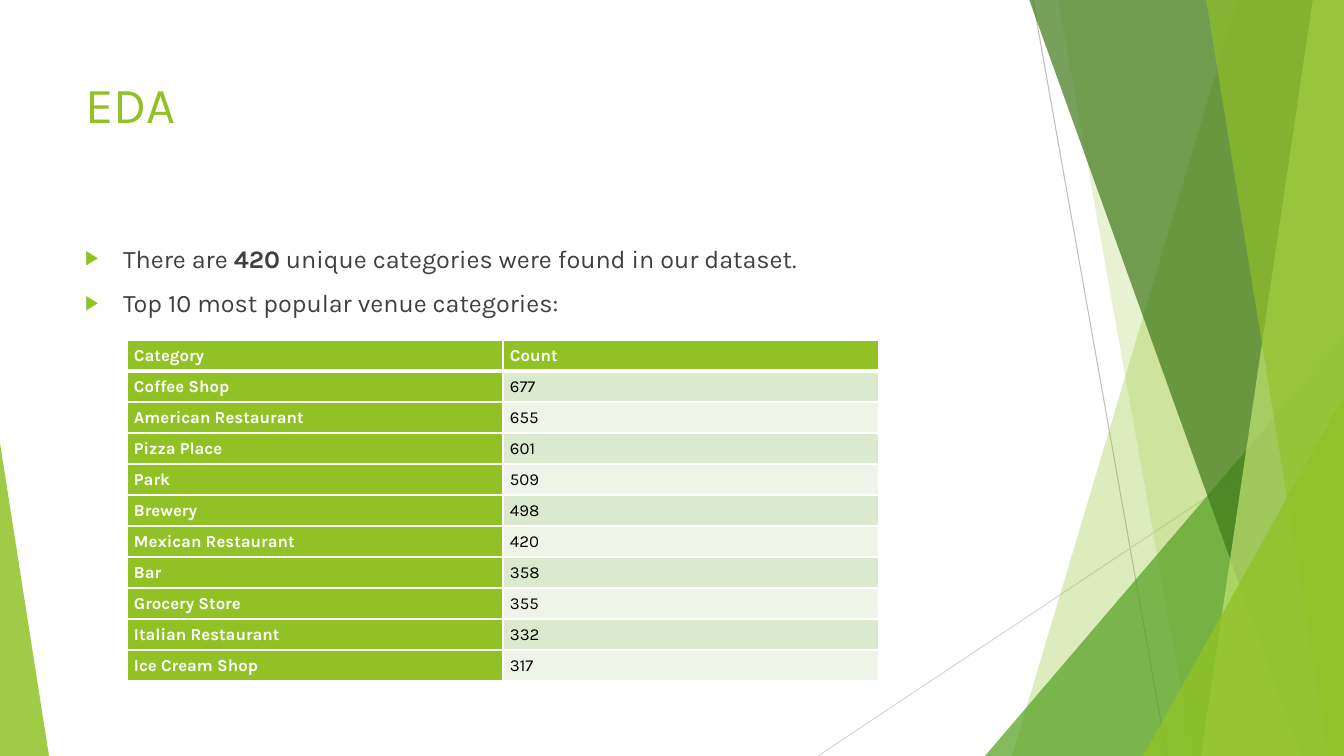
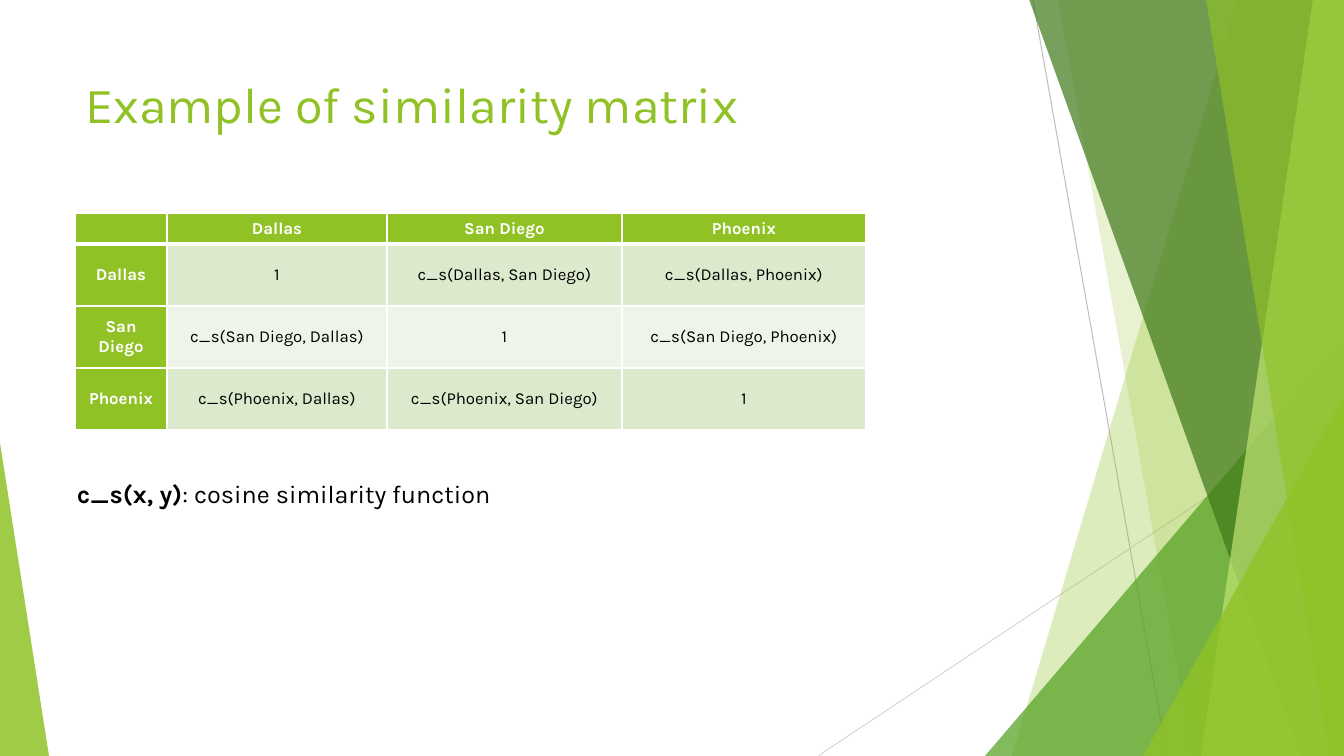
"""Build two venue analysis slides on a shared green faceted master."""
from dataclasses import dataclass

from lxml.etree import SubElement
from pptx import Presentation
from pptx.dml.color import RGBColor
from pptx.enum.shapes import MSO_CONNECTOR, MSO_SHAPE
from pptx.enum.text import MSO_ANCHOR, MSO_AUTO_SIZE, PP_ALIGN
from pptx.oxml.ns import qn
from pptx.util import Emu, Pt

SLIDE_WIDTH, SLIDE_HEIGHT = 1344, 756
EMU_PER_PX = 914400 / 100.8
FONT = "Karla"
LIME = RGBColor(0x90, 0xC2, 0x26)
GREEN = RGBColor(0x54, 0xA0, 0x21)
FOREST = RGBColor(0x3F, 0x78, 0x19)
PALE_LIME = RGBColor(0xC0, 0xE4, 0x74)
BAND_DARK = RGBColor(0xDB, 0xE9, 0xCD)
BAND_LIGHT = RGBColor(0xEE, 0xF4, 0xE8)
WHITE = RGBColor(0xFF, 0xFF, 0xFF)
BLACK = RGBColor(0, 0, 0)
TEXT_GREY = RGBColor(0x40, 0x40, 0x40)
LINE_GREY = RGBColor(0xBF, 0xBF, 0xBF)
LINE_PALE = RGBColor(0xD9, 0xD9, 0xD9)


@dataclass(frozen=True)
class Box:
    left: int
    top: int
    width: int
    height: int


@dataclass(frozen=True)
class Ray:
    start: tuple[int, int]
    end: tuple[int, int]
    color: RGBColor


@dataclass(frozen=True)
class Facet:
    top_x: int
    bottom_x: int
    color: RGBColor
    opacity: int


@dataclass(frozen=True)
class Wedge:
    box: Box
    apex: int
    color: RGBColor
    opacity: int


@dataclass(frozen=True)
class Span:
    text: str
    bold: bool = False


@dataclass(frozen=True)
class Grid:
    left: int
    top: int
    columns: list[int]
    heights: list[int]
    rows: list[tuple[str, ...]]
    alignment: PP_ALIGN


BACKDROP = [
    Ray((1033, 0), (1167, 756), LINE_GREY),
    Ray((1344, 406), (818, 756), LINE_PALE),
    Facet(1238, 1012, LIME, 30),
    Facet(1058, 1193, LIME, 20),
    Wedge(Box(985, 336, 359, 420), 1, GREEN, 72),
    Facet(1029, 1301, FOREST, 70),
    Facet(1313, 1201, PALE_LIME, 70),
    Facet(1206, 1329, LIME, 65),
    Wedge(Box(1143, 396, 201, 360), 1, LIME, 80),
    Wedge(Box(0, 443, 49, 313), 0, LIME, 85),
]
TITLE_BOX = Box(75, 68, 948, 145)
BODY_BOX = Box(75, 238, 948, 427)
NOTE_BOX = Box(67, 473, 435, 40)
FINDINGS = [
    [Span("There are "), Span("420", True),
     Span(" unique categories were found in our dataset.")],
    [Span("Top 10 most popular venue categories:")],
]
NOTE = [Span("c_s(x, y)", True), Span(": cosine similarity function")]
CATEGORIES = [
    ("Category", "Count"),
    ("Coffee Shop", "677"),
    ("American Restaurant", "655"),
    ("Pizza Place", "601"),
    ("Park", "509"),
    ("Brewery", "498"),
    ("Mexican Restaurant", "420"),
    ("Bar", "358"),
    ("Grocery Store", "355"),
    ("Italian Restaurant", "332"),
    ("Ice Cream Shop", "317"),
]
CITIES = ("Dallas", "San Diego", "Phoenix")
SIMILARITY = [("", *CITIES)] + [
    (city, *("1" if city == other else f"c_s({city}, {other})" for other in CITIES))
    for city in CITIES
]
CATEGORY_GRID = Grid(127, 340, [376, 376], [31] * 11, CATEGORIES, PP_ALIGN.LEFT)
SIMILARITY_GRID = Grid(75, 213, [92, 220, 235, 244], [31, 62, 62, 62],
                       SIMILARITY, PP_ALIGN.CENTER)


def px(length: int) -> Emu:
    """Turn px into EMU."""
    return Emu(round(length * EMU_PER_PX))


def place(box: Box) -> tuple[Emu, Emu, Emu, Emu]:
    """Give a box as left, top, width and height in EMU."""
    return px(box.left), px(box.top), px(box.width), px(box.height)


def move(shape, box: Box) -> None:
    """Put a placeholder where the box is."""
    shape.left, shape.top, shape.width, shape.height = place(box)


def style_run(run, size: int, color: RGBColor, bold: bool = False) -> None:
    """Set the font of a run."""
    run.font.name = FONT
    run.font.size = Pt(size)
    run.font.bold = bold
    run.font.color.rgb = color


def write_spans(paragraph, spans: list[Span], color: RGBColor) -> None:
    """Fill a paragraph with plain and bold runs."""
    for span in spans:
        run = paragraph.add_run()
        run.text = span.text
        style_run(run, 18, color, span.bold)


def draw_ray(slide, ray: Ray):
    """Draw a thin straight line."""
    line = slide.shapes.add_connector(
        MSO_CONNECTOR.STRAIGHT, *map(px, ray.start), *map(px, ray.end))
    line.line.color.rgb = ray.color
    line.line.width = Pt(0.75)
    SubElement(line.element.spPr, qn("a:effectLst"))
    return line


def draw_pane(slide, pane: Facet | Wedge):
    """Draw a translucent facet or wedge."""
    if isinstance(pane, Wedge):
        shape = slide.shapes.add_shape(MSO_SHAPE.ISOSCELES_TRIANGLE, *place(pane.box))
        shape.adjustments[0] = pane.apex
    else:
        builder = slide.shapes.build_freeform(pane.top_x, -1, scale=EMU_PER_PX)
        builder.add_line_segments([(SLIDE_WIDTH, -1), (SLIDE_WIDTH, SLIDE_HEIGHT),
                                   (pane.bottom_x, SLIDE_HEIGHT)])
        shape = builder.convert_to_shape()
    shape.shadow.inherit = False
    shape.line.fill.background()
    shape.fill.solid()
    shape.fill.fore_color.rgb = pane.color
    color = shape.element.spPr.find(qn("a:solidFill")).find(qn("a:srgbClr"))
    SubElement(color, qn("a:alpha"), val=str(pane.opacity * 1000))
    return shape


def draw_backdrop(slide, master) -> None:
    """Draw the backdrop and hand it to the master, behind its placeholders."""
    for index, item in enumerate(BACKDROP):
        shape = draw_ray(slide, item) if isinstance(item, Ray) else draw_pane(slide, item)
        shape.element.xpath(".//p:cNvPr")[0].set("id", str(100 + index))
        master.shapes.element.insert(2 + index, shape.element)


def write_title(slide, text: str) -> None:
    """Fill the title placeholder."""
    title = slide.shapes.title
    move(title, TITLE_BOX)
    frame = title.text_frame
    frame.text = text
    frame.vertical_anchor = MSO_ANCHOR.TOP
    frame.auto_size = MSO_AUTO_SIZE.NONE
    frame.paragraphs[0].alignment = PP_ALIGN.LEFT
    style_run(frame.paragraphs[0].runs[0], 36, LIME)


def set_bullet(paragraph) -> None:
    """Give a paragraph a hanging lime arrow bullet."""
    properties = paragraph._p.get_or_add_pPr()
    properties.set("marL", str(px(38)))
    properties.set("indent", str(px(-38)))
    color = SubElement(properties, qn("a:buClr"))
    SubElement(color, qn("a:srgbClr"), val=str(LIME))
    SubElement(properties, qn("a:buSzPct"), val="80000")
    SubElement(properties, qn("a:buFont"), typeface=FONT)
    SubElement(properties, qn("a:buChar"), char="▶")


def write_list(slide, items: list[list[Span]]) -> None:
    """Fill the body placeholder with bullets."""
    body = slide.placeholders[1]
    move(body, BODY_BOX)
    frame = body.text_frame
    frame.auto_size = MSO_AUTO_SIZE.NONE
    for index, spans in enumerate(items):
        paragraph = frame.add_paragraph() if index else frame.paragraphs[0]
        paragraph.space_before = Pt(10)
        set_bullet(paragraph)
        write_spans(paragraph, spans, TEXT_GREY)


def set_borders(cell, row: int) -> None:
    """Rule a cell in white, with a thick line below the header."""
    widths = {"L": 1, "R": 1, "T": 3 if row == 1 else 1, "B": 3 if row == 0 else 1}
    properties = cell._tc.get_or_add_tcPr()
    for side, width in widths.items():
        line = SubElement(properties, qn(f"a:ln{side}"), w=str(Pt(width)))
        fill = SubElement(line, qn("a:solidFill"))
        SubElement(fill, qn("a:srgbClr"), val=str(WHITE))


def draw_grid(slide, grid: Grid) -> None:
    """Draw a banded table with a header row and column."""
    box = Box(grid.left, grid.top, sum(grid.columns), sum(grid.heights))
    table = slide.shapes.add_table(
        len(grid.heights), len(grid.columns), *place(box)).table
    for column, width in zip(table.columns, grid.columns):
        column.width = px(width)
    for row_index, (height, texts) in enumerate(zip(grid.heights, grid.rows)):
        table.rows[row_index].height = px(height)
        for column_index, text in enumerate(texts):
            header = row_index == 0 or column_index == 0
            cell = table.cell(row_index, column_index)
            set_borders(cell, row_index)
            cell.fill.solid()
            band = BAND_DARK if row_index % 2 else BAND_LIGHT
            cell.fill.fore_color.rgb = LIME if header else band
            cell.vertical_anchor = MSO_ANCHOR.MIDDLE
            cell.margin_left = cell.margin_right = px(7)
            cell.margin_top = cell.margin_bottom = 0
            paragraph = cell.text_frame.paragraphs[0]
            paragraph.text = text
            paragraph.alignment = grid.alignment
            for run in paragraph.runs or [paragraph.add_run()]:
                style_run(run, 12, WHITE if header else BLACK, header)


def write_note(slide, spans: list[Span]) -> None:
    """Add the line that explains the function."""
    frame = slide.shapes.add_textbox(*place(NOTE_BOX)).text_frame
    frame.word_wrap = False
    frame.auto_size = MSO_AUTO_SIZE.SHAPE_TO_FIT_TEXT
    write_spans(frame.paragraphs[0], spans, BLACK)


def main() -> None:
    """Build and save the presentation."""
    presentation = Presentation()
    presentation.slide_width = px(SLIDE_WIDTH)
    presentation.slide_height = px(SLIDE_HEIGHT)
    layouts = presentation.slide_layouts

    exploration = presentation.slides.add_slide(layouts.get_by_name("Title and Content"))
    draw_backdrop(exploration, presentation.slide_master)
    write_title(exploration, "EDA")
    write_list(exploration, FINDINGS)
    draw_grid(exploration, CATEGORY_GRID)

    similarity = presentation.slides.add_slide(layouts.get_by_name("Title Only"))
    write_title(similarity, "Example of similarity matrix")
    draw_grid(similarity, SIMILARITY_GRID)
    write_note(similarity, NOTE)

    presentation.save("out.pptx")


if __name__ == "__main__":
    main()
